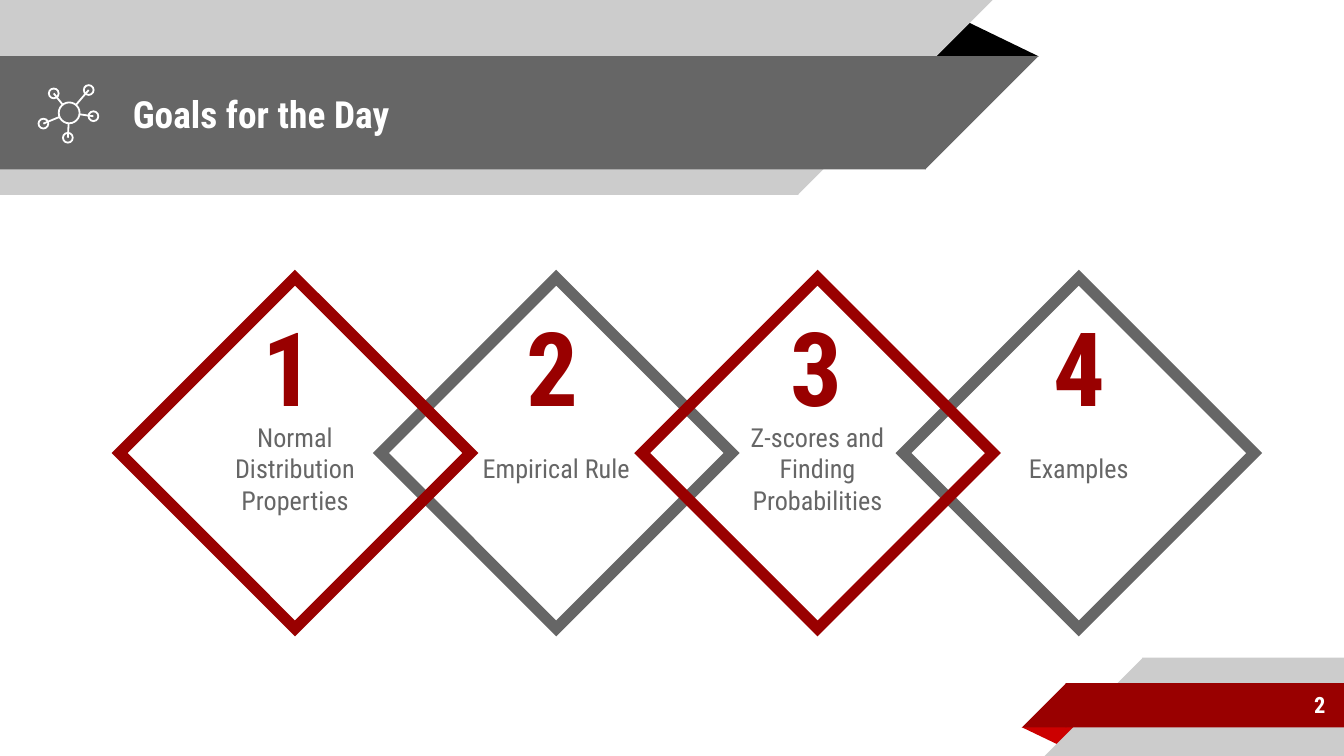
from dataclasses import dataclass
from math import hypot

from lxml.etree import SubElement
from pptx import Presentation
from pptx.dml.color import RGBColor
from pptx.enum.shapes import MSO_CONNECTOR as Connector, MSO_SHAPE as Shape
from pptx.enum.text import MSO_ANCHOR as Anchor, PP_ALIGN as Align
from pptx.oxml.ns import qn
from pptx.util import Inches, Pt


@dataclass(frozen=True)
class Theme:
    font: str = "Roboto Condensed"
    white: str = "FFFFFF"
    black: str = "000000"
    pale: str = "CCCCCC"
    grey: str = "666666"
    red: str = "990000"
    bright: str = "CC0000"
    title_size: int = 20
    digit_size: int = 55
    label_size: int = 14
    page_size: int = 12
    frame_line: float = 6
    icon_line: float = 0.96


THEME = Theme()
WIDTH, HEIGHT = 100, 56.25  # square grid cells, each 1% of the slide's width
PAD = 1
OVERLAP = 0.05  # hides the seam between a bar and its slope
GOALS = ["Normal Distribution Properties", "Empirical Rule",
         "Z-scores and Finding Probabilities", "Examples"]


def cells(count):
    return Inches(count / 10)


def color(code):
    return RGBColor.from_string(code)


def write(frame, text, size, ink, bold=False, align=Align.LEFT,
          anchor=Anchor.MIDDLE, top_pad=PAD):
    frame.word_wrap = True
    frame.vertical_anchor = anchor
    frame.margin_left = frame.margin_right = frame.margin_bottom = cells(PAD)
    frame.margin_top = cells(top_pad)
    para = frame.paragraphs[0]
    para.alignment = align
    span = para.add_run()
    span.text = text
    span.font.name = THEME.font
    span.font.size = Pt(size)
    span.font.bold = bold
    span.font.color.rgb = color(ink)


def add_text(page, area, text, **style):
    box = page.shapes.add_textbox(*map(cells, area))
    write(box.text_frame, text, **style)


def add_figure(page, kind, area, fill=None, line=None, weight=1):
    figure = page.shapes.add_shape(kind, *map(cells, area))
    figure.shadow.inherit = False
    if fill:
        figure.fill.solid()
        figure.fill.fore_color.rgb = color(fill)
    else:
        figure.fill.background()
    if line:
        figure.line.color.rgb = color(line)
        figure.line.width = Pt(weight)
        outline = figure.element.spPr.find(qn("a:ln"))
        SubElement(outline, qn("a:miter"), lim="800000")
    else:
        figure.line.fill.background()
    return figure


def add_fold(page, area, fill, turn=0):
    fold = add_figure(page, Shape.ISOSCELES_TRIANGLE, area, fill)
    fold.adjustments[0] = 0.32
    fold.rotation = turn


def add_band(page, start, end, top, height, fill, slope_right):
    """A bar from start to end, with a 45 degree slope beyond one end."""
    add_figure(page, Shape.RECTANGLE, (start, top, end - start, height), fill)
    left = end - OVERLAP if slope_right else start - height + OVERLAP
    slope = add_figure(page, Shape.RIGHT_TRIANGLE,
                       (left, top, height, height), fill)
    slope.element.spPr.find(qn("a:xfrm")).set("flipH", "1")
    slope.rotation = 180 if slope_right else 0


def add_circle(page, center, size):
    x, y = center
    add_figure(page, Shape.OVAL, (x - size / 2, y - size / 2, size, size),
               line=THEME.white, weight=THEME.icon_line)


def add_spoke(page, start, end):
    spoke = page.shapes.add_connector(Connector.STRAIGHT,
                                      *map(cells, (*start, *end)))
    spoke.line.color.rgb = color(THEME.white)
    spoke.line.width = Pt(THEME.icon_line)
    SubElement(spoke.element.spPr, qn("a:effectLst"))


def add_network_icon(page):
    hub, hub_size, node_size = (5.15, 8.4), 1.55, 0.73
    nodes = [(6.6, 6.7), (4, 6.95), (3.23, 9.2), (5.05, 10.25), (6.95, 8.65)]
    add_circle(page, hub, hub_size)
    for node in nodes:
        add_circle(page, node, node_size)
        share = hub_size / 2 / hypot(node[0] - hub[0], node[1] - hub[1])
        rim = [h + (n - h) * share for h, n in zip(hub, node)]
        add_spoke(page, node, rim)


def add_header(page):
    add_fold(page, (68.8, 1.4, 8.5, 2.8), THEME.black)
    add_band(page, 0, 59.4, 0, 14.5, THEME.pale, slope_right=True)
    add_band(page, 0, 68.9, 4.17, 8.43, THEME.grey, slope_right=True)
    add_text(page, (8.9, 4.25, 57.5, 8.4), "Goals for the Day",
             size=THEME.title_size, ink=THEME.white, bold=True)
    add_network_icon(page)


def add_footer(page):
    add_fold(page, (76, 54.1, 4.3, 1.4), THEME.bright, turn=180)
    add_band(page, 85, WIDTH, 48.93, HEIGHT - 48.93, THEME.pale,
             slope_right=False)
    add_band(page, 79.3, WIDTH, 50.83, 3.3, THEME.red, slope_right=False)
    add_text(page, (83.3, 50.7, 16.3, 3.5), "2", size=THEME.page_size,
             ink=THEME.white, bold=True, align=Align.RIGHT)


def add_goals(page):
    """Red diamonds overlap the grey ones, so the grey ones come first."""
    for index in (1, 3, 0, 2):
        grey = index % 2
        diamond = add_figure(page, Shape.DIAMOND,
                             (8.9 + 19.44 * index, 20.66, 26.1, 26.1),
                             fill=THEME.white if grey else None,
                             line=THEME.grey if grey else THEME.red,
                             weight=THEME.frame_line)
        write(diamond.text_frame, GOALS[index], size=THEME.label_size,
              ink=THEME.grey, align=Align.CENTER, top_pad=PAD + 2.3)
    for index in range(len(GOALS)):
        add_text(page, (18.55 + 19.63 * index, 21.8, 5.4, 11), str(index + 1),
                 size=THEME.digit_size, ink=THEME.red, bold=True,
                 anchor=Anchor.BOTTOM)


def main():
    deck = Presentation()
    deck.slide_width, deck.slide_height = cells(WIDTH), cells(HEIGHT)
    page = deck.slides.add_slide(deck.slide_layouts[6])
    add_header(page)
    add_footer(page)
    add_goals(page)
    deck.save("out.pptx")


if __name__ == "__main__":
    main()
